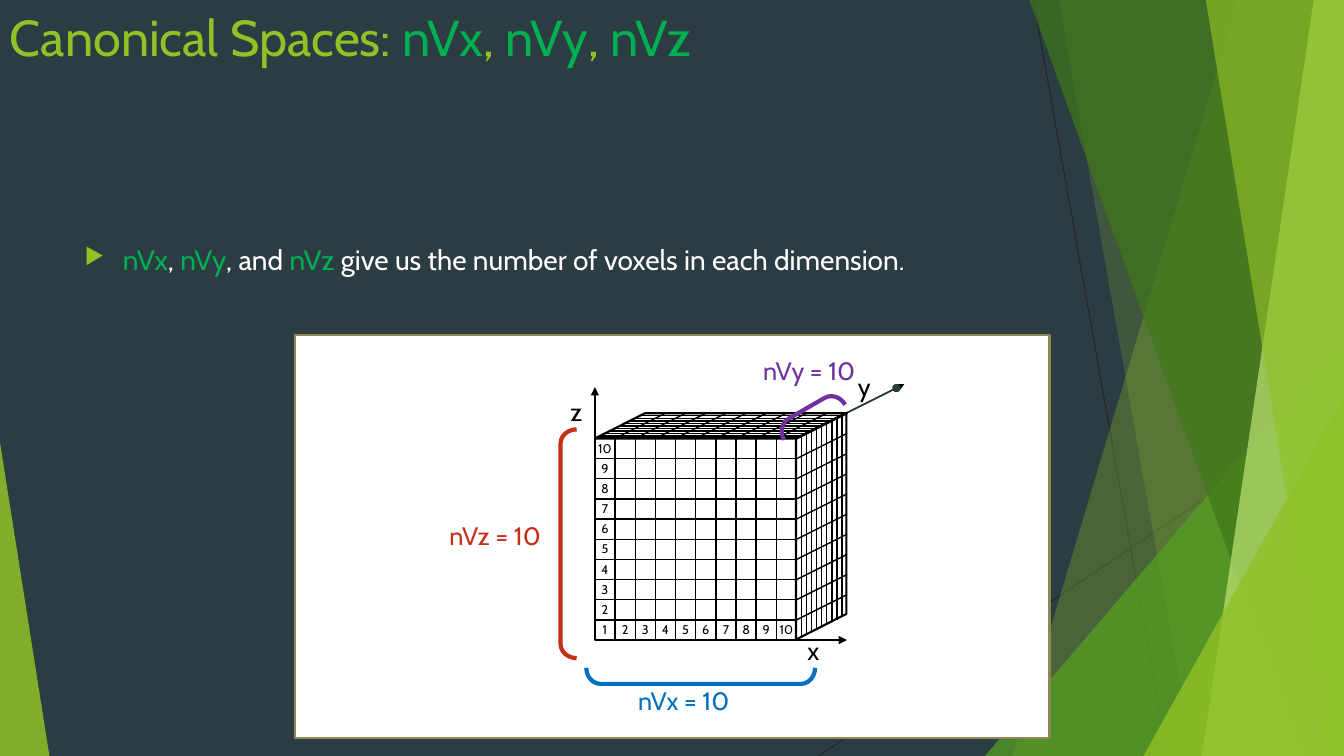
import pptx
import pptx.dml.color
import pptx.enum.shapes
import pptx.enum.text
import pptx.oxml.ns
import pptx.oxml.xmlchemy
import pptx.util

Inches = pptx.util.Inches
Pt = pptx.util.Pt
Preset = pptx.enum.shapes.MSO_SHAPE
Align = pptx.enum.text.PP_ALIGN
Element = pptx.oxml.xmlchemy.OxmlElement
qn = pptx.oxml.ns.qn

LIME, GREEN, WHITE, BLACK, SLATE = "90C226", "00B050", "FFFFFF", "000000", "2C3C43"
RED, BLUE, PURPLE = "C42F1A", "0070C0", "7030A0"
WIDE, HIGH = 13.33, 7.5

deck = pptx.Presentation()
deck.slide_width, deck.slide_height = Inches(WIDE), Inches(HIGH)
slide = deck.slides.add_slide(deck.slide_layouts[6])
shapes = slide.shapes


def paint(fill, colour):
    fill.solid()
    fill.fore_color.rgb = pptx.dml.color.RGBColor.from_string(colour)


def write(runs, left, top, width, height, size=18, wrap=True, align=Align.LEFT):
    box = shapes.add_textbox(Inches(left), Inches(top), Inches(width), Inches(height))
    box.text_frame.word_wrap = wrap
    paragraph = box.text_frame.paragraphs[0]
    paragraph.alignment = align
    for words, colour in runs:
        run = paragraph.add_run()
        run.text = words
        run.font.name = "Cabin"
        run.font.size = Pt(size)
        paint(run.font.fill, colour)
    return paragraph


paint(slide.background.fill, SLATE)

strokes = [
    (10.25, 0, 11.58, HIGH, "262626", 0.75, None),
    (WIDE, 4.03, 8.12, HIGH, "262626", 0.75, None),
]
facets = [
    ([(12.28, 0), (WIDE, 0), (WIDE, HIGH), (10.04, HIGH)], LIME, 30),
    ([(10.5, 0), (WIDE, 0), (WIDE, HIGH), (11.83, HIGH)], LIME, 20),
    ([(WIDE, 3.33), (WIDE, HIGH), (9.77, HIGH)], "54A021", 72),
    ([(10.21, 0), (WIDE, 0), (WIDE, HIGH), (12.91, HIGH)], "3F7819", 70),
    ([(13.03, 0), (WIDE, 0), (WIDE, HIGH), (11.92, HIGH)], "C0E474", 70),
    ([(11.96, 0), (WIDE, 0), (WIDE, HIGH), (13.18, HIGH)], LIME, 65),
    ([(WIDE, 3.93), (WIDE, HIGH), (11.34, HIGH)], LIME, 80),
    ([(0, 4.39), (0.49, HIGH), (0, HIGH)], LIME, 85),
]

CELLS, CELL = 10, 0.2
SIDE = CELLS * CELL
LEFT, TOP = 5.9, 4.35
RIGHT, BOTTOM = LEFT + SIDE, TOP + SIDE
DEPTH, RISE = 0.5, 0.25

cube_strokes = [
    (7.97, 4.31, 8.97, 3.81, BLACK, 1, "triangle"),
    (7.89, TOP, 8.89, 3.85, SLATE, 1, "oval"),
    (LEFT, BOTTOM, LEFT, 3.84, BLACK, 1, "triangle"),
    (LEFT, BOTTOM, 8.4, BOTTOM, BLACK, 1, "triangle"),
]
for step in range(1, CELLS):
    x, y = LEFT + step * CELL, TOP + step * CELL
    back, up = DEPTH * step / CELLS, RISE * step / CELLS
    for ends in [
        (LEFT, y, RIGHT, y),
        (x, BOTTOM, x, TOP),
        (RIGHT + back, BOTTOM - up, RIGHT + back, TOP - up),
        (RIGHT, y, RIGHT + DEPTH, y - RISE),
        (x, TOP, x + DEPTH, TOP - RISE),
        (LEFT + back, TOP - up, RIGHT + back, TOP - up),
    ]:
        cube_strokes.append((*ends, BLACK, 1, None))

outlines = [
    (Preset.RECTANGLE, 2.93, 3.32, 7.48, 4, 0, False, None, "918655", 1.5),
    (Preset.RECTANGLE, LEFT, TOP, SIDE, SIDE, 0, False, None, BLACK, 1.5),
    (Preset.PARALLELOGRAM, LEFT, TOP - RISE, SIDE + DEPTH, RISE, 0, False, 1.986, BLACK, 1.5),
    (Preset.PARALLELOGRAM, 7.02, 4.97, SIDE + RISE, DEPTH, 270, True, 0.509, BLACK, 1.5),
    (Preset.RIGHT_BRACKET, 5.56, 4.26, 0.16, 2.27, 0, True, 0.887, RED, 3),
    (Preset.RIGHT_BRACKET, 6.87, 5.57, 0.16, 2.27, 270, True, 0.887, BLUE, 3),
    (Preset.RIGHT_BRACKET, 7.96, 3.77, 0.16, 0.7, 60, True, 0.887, PURPLE, 3),
]

for layer in ("backdrop", "cube"):
    for x1, y1, x2, y2, colour, weight, tip in strokes if layer == "backdrop" else cube_strokes:
        stroke = shapes.add_connector(
            pptx.enum.shapes.MSO_CONNECTOR.STRAIGHT,
            Inches(x1), Inches(y1), Inches(x2), Inches(y2))
        paint(stroke.line.fill, colour)
        stroke.line.width = Pt(weight)
        if tip:
            tail = Element("a:tailEnd")
            tail.set("type", tip)
            stroke._element.spPr.find(qn("a:ln")).append(tail)
        stroke._element.spPr.append(Element("a:effectLst"))

    if layer == "backdrop":
        for corners, colour, opacity in facets:
            points = [(Inches(x), Inches(y)) for x, y in corners]
            pen = shapes.build_freeform(*points[0])
            pen.add_line_segments(points[1:], close=True)
            facet = pen.convert_to_shape()
            facet.shadow.inherit = False
            facet.line.fill.background()
            paint(facet.fill, colour)
            alpha = Element("a:alpha")
            alpha.set("val", str(opacity * 1000))
            facet._element.spPr.find(".//" + qn("a:srgbClr")).append(alpha)

        write([("Canonical Spaces: ", LIME), ("nVx", GREEN), (", ", LIME), ("nVy", GREEN),
               (", ", LIME), ("nVz", GREEN)], 0, 0.01, 9.4, 1.44, size=36)
        point = write([("nVx", GREEN), (", ", WHITE), ("nVy", GREEN), (", and ", WHITE),
                       ("nVz ", GREEN),
                       ("give us the number of voxels in each dimension.", WHITE)],
                      0.74, 2.36, 9.4, 4.24, size=20)
        point.space_before = Pt(10)
        layout = point._p.get_or_add_pPr()
        layout.set("marL", str(Inches(0.38)))
        layout.set("indent", str(-Inches(0.38)))
        tint = Element("a:buClr")
        shade = Element("a:srgbClr")
        shade.set("val", LIME)
        tint.append(shade)
        layout.append(tint)
        for tag, key, value in [("a:buSzPct", "val", "80000"), ("a:buChar", "char", "▶")]:
            mark = Element(tag)
            mark.set(key, value)
            layout.append(mark)

    for preset, x, y, width, height, turn, flip, bend, colour, weight in (
            outlines[:1] if layer == "backdrop" else outlines[1:]):
        outline = shapes.add_shape(preset, Inches(x), Inches(y), Inches(width), Inches(height))
        outline.shadow.inherit = False
        outline.rotation = turn
        if flip:
            outline._element.spPr.find(qn("a:xfrm")).set("flipH", "1")
        if bend:
            outline.adjustments[0] = bend
        if layer == "backdrop":
            paint(outline.fill, WHITE)
        else:
            outline.fill.background()
        paint(outline.line.fill, colour)
        outline.line.width = Pt(weight)

for axis, x, y in [("x", 7.91, 6.25), ("z", 5.56, 3.88), ("y", 8.41, 3.63)]:
    write([(axis, BLACK)], x, y, 0.33, 0.4, wrap=False)
for count, x, y, colour in [("nVz = 10", 4.36, 5.11, RED), ("nVx = 10", 6.23, 6.75, BLUE),
                            ("nVy = 10", 7.47, 3.48, PURPLE)]:
    write([(count, colour)], x, y, 1.2, 0.4)

voxels = [(column, 0) for column in range(CELLS)] + [(0, row) for row in range(1, CELLS)]
for column, row in voxels:
    write([(str(column + row + 1), BLACK)], LEFT - 0.07 + column * CELL,
          BOTTOM - 0.23 - row * CELL, 0.34, 0.25, size=9, wrap=False, align=Align.CENTER)

deck.save("out.pptx")
